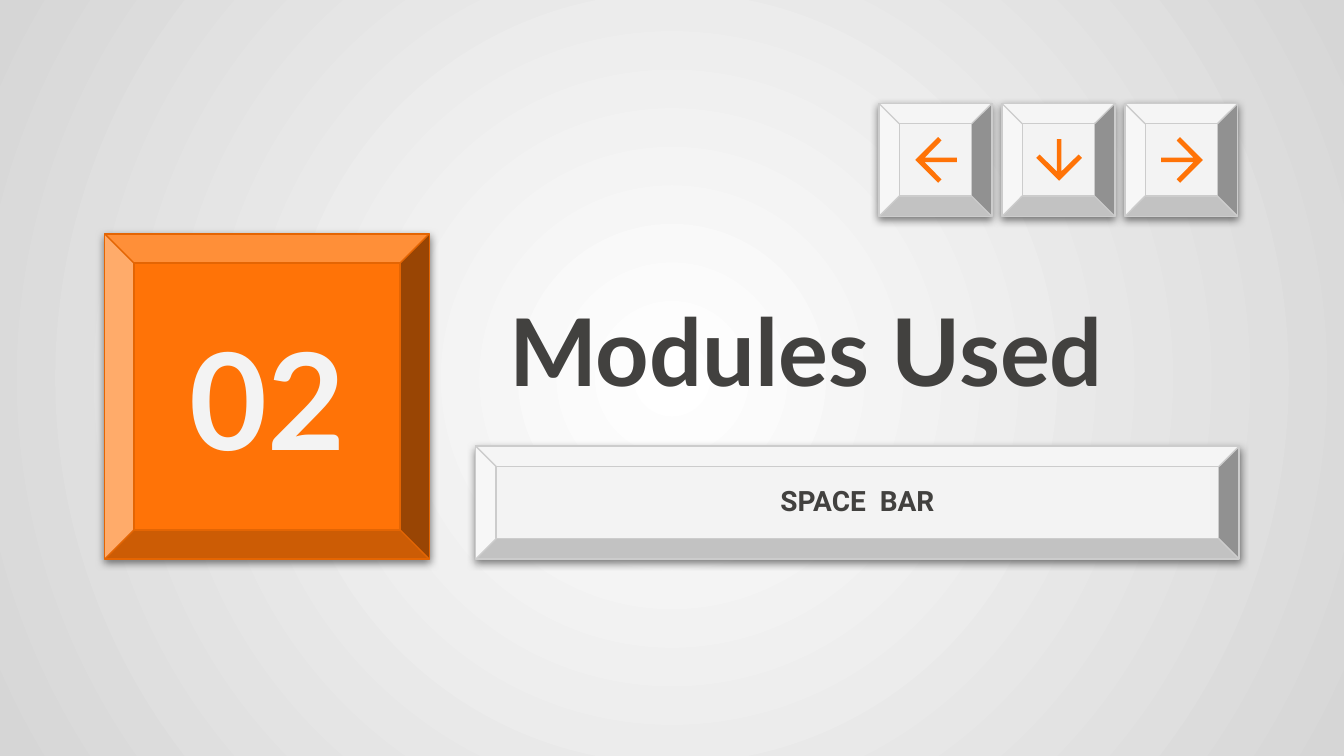
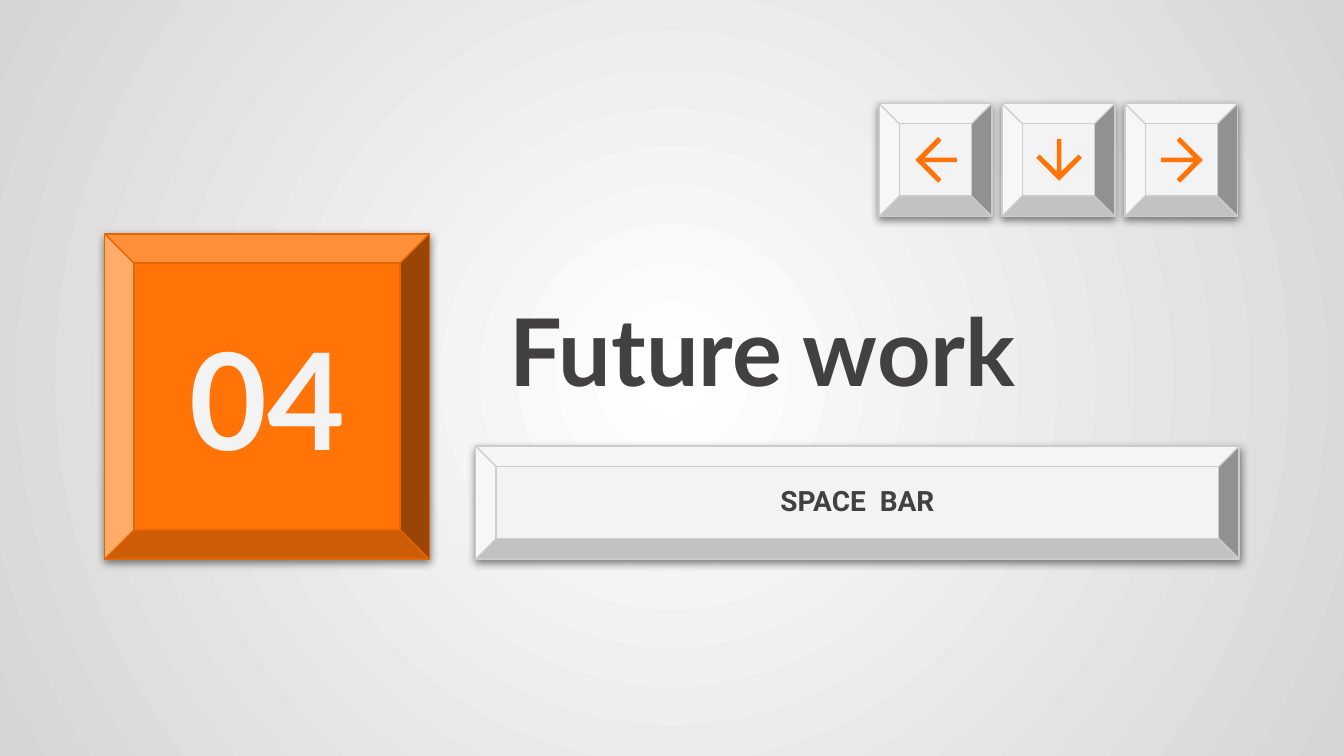
from dataclasses import dataclass

from lxml.etree import SubElement
from pptx import Presentation
from pptx.dml.color import RGBColor as Color
from pptx.enum.shapes import MSO_SHAPE as Preset
from pptx.enum.text import MSO_ANCHOR as Anchor, PP_ALIGN as Align
from pptx.oxml.ns import qn
from pptx.util import Inches, Pt

COLUMNS, ROWS, CELL = 100, 56.25, Inches(0.1)


@dataclass(frozen=True)
class Theme:
    """Colours, fonts and sizes shared by the section slides."""
    ink: str = "42413F"
    light: str = "F3F3F3"
    light_edge: str = "CCCCCC"
    accent: str = "FF7307"
    accent_edge: str = "E46503"
    glow: tuple = ("FFFFFF", "D6D6D6")
    heading: str = "Lato"
    body: str = "Roboto"
    number_size: int = 72
    title_size: int = 50
    label_size: int = 15
    edge_width: float = 0.75


@dataclass(frozen=True)
class Box:
    """A rectangle measured in grid columns and rows."""
    left: float
    top: float
    width: float
    height: float

    def inner(self, left, top, width, height):
        """Return a box placed relative to this one."""
        return Box(self.left + left, self.top + top, width, height)

    def emu(self):
        """Return left, top, width and height in drawing units."""
        return [round(value * CELL) for value in (self.left, self.top, self.width, self.height)]


THEME = Theme()
LIGHT_KEY = {"fill": THEME.light, "edge": THEME.light_edge, "bevel": 0.18}
ACCENT_KEY = {"fill": THEME.accent, "edge": THEME.accent_edge, "bevel": 0.09}
ARROW = [(1.4, 0), (1.15, 0.25), (2.4, 1.53), (0, 1.53), (0, 1.87),
         (2.4, 1.87), (1.15, 3.15), (1.4, 3.4), (3.1, 1.7)]
SECTIONS = [("02", "Modules Used"), ("04", "Future work")]


def apply_format(target, values):
    """Set each named attribute on the target."""
    for name, value in values.items():
        setattr(target, name, value)


def paint(shape, colour):
    """Fill a shape with one colour."""
    shape.fill.solid()
    shape.fill.fore_color.rgb = Color.from_string(colour)


def add_shadow(shape):
    """Give a shape a soft shadow that falls straight down."""
    shape.shadow.inherit = False
    effects = shape.element.spPr.find(qn("a:effectLst"))
    shadow = SubElement(effects, qn("a:outerShdw"), blurRad=str(Pt(4.5)), dist=str(Pt(1.5)),
                        dir="5400000", algn="bl", rotWithShape="0")
    colour = SubElement(shadow, qn("a:srgbClr"), val="000000")
    SubElement(colour, qn("a:alpha"), val="50000")


def add_key(shapes, box, look):
    """Draw one bevelled keyboard key."""
    key = shapes.add_shape(Preset.BEVEL, *box.emu())
    key.adjustments[0] = look["bevel"]
    paint(key, look["fill"])
    key.line.color.rgb = Color.from_string(look["edge"])
    key.line.width = Pt(THEME.edge_width)
    add_shadow(key)


def add_text(shapes, box, text, font, size, colour, alignment=Align.CENTER):
    """Write one bold line, centred vertically in its box."""
    frame = shapes.add_textbox(*box.emu()).text_frame
    margins = dict.fromkeys(("margin_left", "margin_top", "margin_right", "margin_bottom"), CELL)
    apply_format(frame, {"word_wrap": True, "vertical_anchor": Anchor.MIDDLE, **margins})
    paragraph = frame.paragraphs[0]
    paragraph.alignment = alignment
    run = paragraph.add_run()
    run.text = text
    apply_format(run.font, {"name": font, "size": Pt(size), "bold": True})
    run.font.color.rgb = Color.from_string(colour)


def add_arrow(shapes, box, rotation):
    """Draw an arrow that points right before it is turned."""
    points = [(x * CELL, y * CELL) for x, y in ARROW]
    builder = shapes.build_freeform(*points[0])
    builder.add_line_segments(points[1:], close=True)
    left, top, *_ = box.emu()
    arrow = builder.convert_to_shape(left, top)
    apply_format(arrow, {"rotation": rotation})
    paint(arrow, THEME.accent)
    arrow.line.fill.background()
    arrow.shadow.inherit = False


def add_arrow_keys(slide, box):
    """Place the left, down and right keys at equal gaps."""
    side = box.height
    pitch = (box.width - side) / 2
    for position, rotation in ((2, 0), (1, 90), (0, 180)):
        shapes = slide.shapes.add_group_shape().shapes
        key_box = box.inner(position * pitch, 0, side, side)
        add_key(shapes, key_box, LIGHT_KEY)
        add_arrow(shapes, key_box.inner(2.7, 2.5, 3.1, 3.4), rotation)


def add_space_bar(slide, box):
    """Draw the wide key and its label."""
    add_key(slide.shapes, box, LIGHT_KEY)
    add_text(slide.shapes, box.inner(4.15, 1.6, box.width - 8.3, 4.8), "SPACE  BAR",
             THEME.body, THEME.label_size, THEME.ink)


def add_number_key(slide, box, number):
    """Draw the large accent key with the section number."""
    add_key(slide.shapes, box, ACCENT_KEY)
    add_text(slide.shapes, box.inner(2.15, 5.6, box.width - 4.3, box.height - 11.2), number,
             THEME.heading, THEME.number_size, THEME.light)


def add_section(presentation, box, number, title):
    """Build one section slide."""
    slide = presentation.slides.add_slide(presentation.slide_layouts[6])
    add_space_bar(slide, box.inner(35.4, 33.2, 56.8, 8.4))
    add_number_key(slide, box.inner(7.8, 17.4, 24.15, 24.2), number)
    add_text(slide.shapes, box.inner(36.9, 17.5, 53.7, 16.9), title,
             THEME.heading, THEME.title_size, THEME.ink, Align.LEFT)
    add_arrow_keys(slide, box.inner(65.4, 7.7, 26.7, 8.4))


def set_background(layout):
    """Give the layout a round glow from its centre."""
    fill = layout.background.fill
    fill.gradient()
    for stop, colour in zip(fill.gradient_stops, THEME.glow):
        stop.color.rgb = Color.from_string(colour)
    gradient = next(layout.element.iter(qn("a:gradFill")))
    gradient.remove(gradient.find(qn("a:lin")))
    circle = SubElement(gradient, qn("a:path"), {"path": "circle"})
    SubElement(circle, qn("a:fillToRect"), dict.fromkeys("ltrb", "50000"))


def main():
    """Build and save the presentation."""
    presentation = Presentation()
    apply_format(presentation, {"slide_width": COLUMNS * CELL, "slide_height": round(ROWS * CELL)})
    set_background(presentation.slide_layouts[6])
    for number, title in SECTIONS:
        add_section(presentation, Box(0, 0, COLUMNS, ROWS), number, title)
    presentation.save("out.pptx")


if __name__ == "__main__":
    main()
